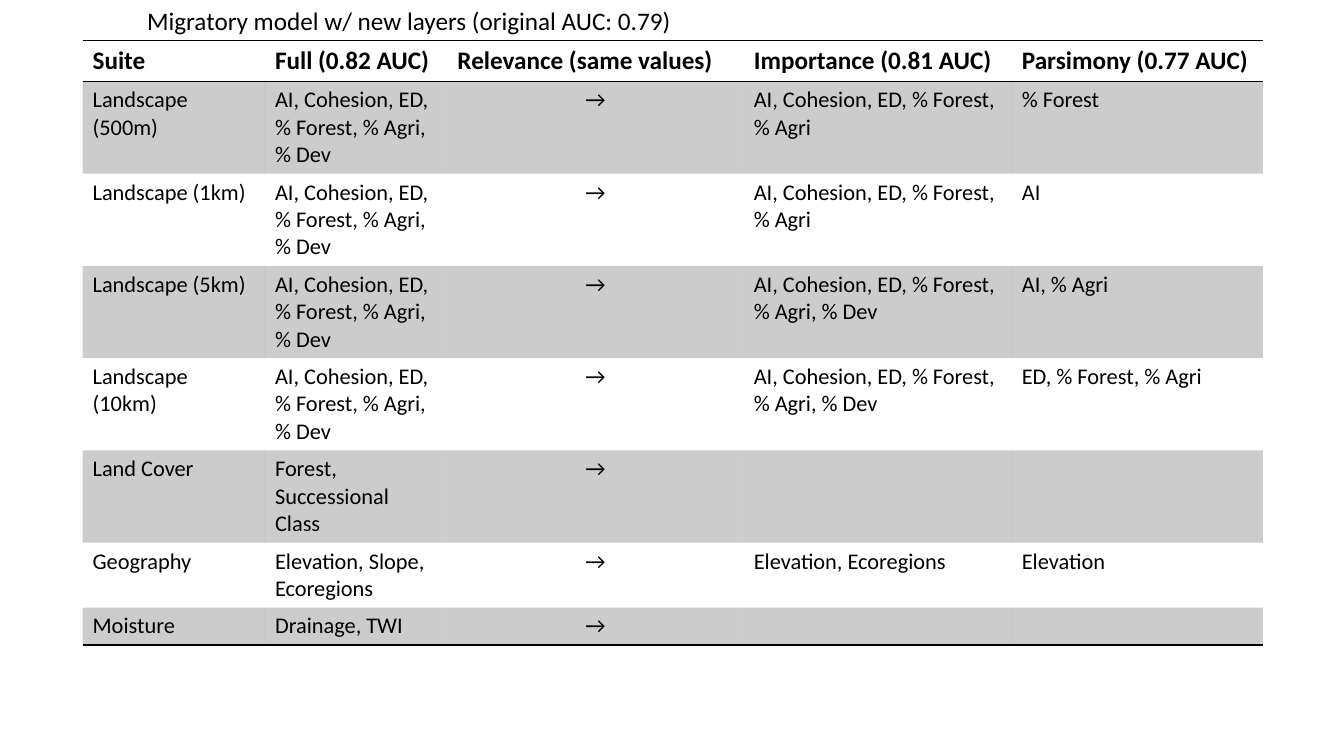
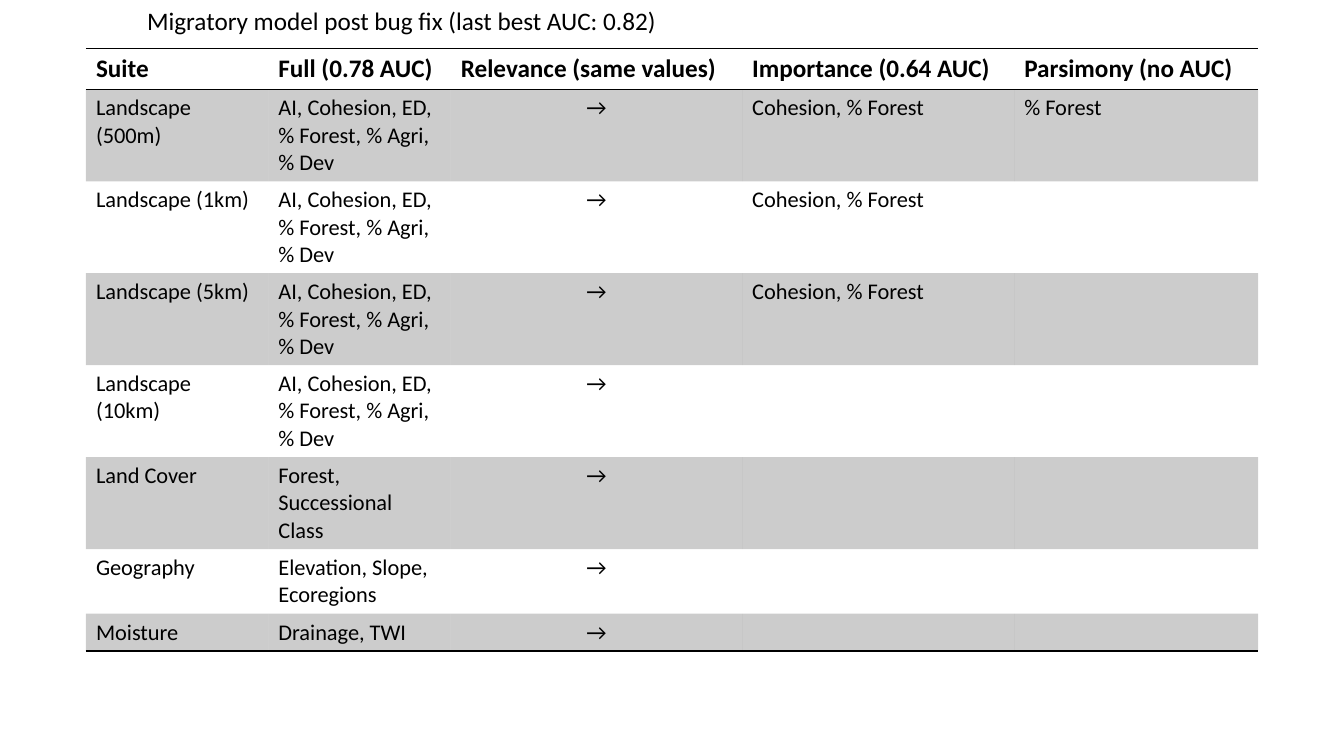
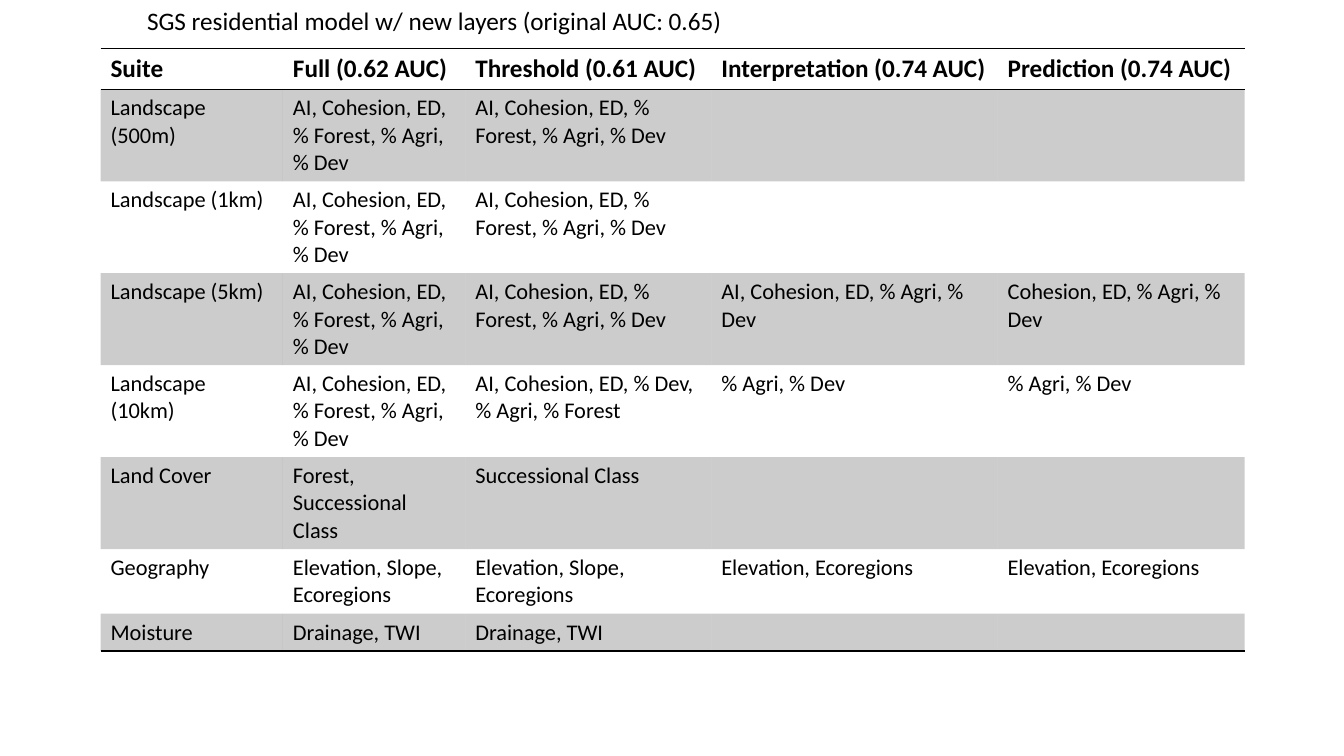
from lxml.etree import SubElement
from pptx import Presentation
from pptx.dml.color import RGBColor
from pptx.enum.text import MSO_AUTO_SIZE, PP_ALIGN
from pptx.oxml.ns import qn
from pptx.util import Pt

# Shared look
BLACK = RGBColor(0x00, 0x00, 0x00)
FONT = "Calibri"
HEAD_SIZE, BODY_SIZE = 18, 16
HEAD_HEIGHT, LINE_HEIGHT, CELL_PADDING = 29.2, 19.5, 7.2
BAND_OPACITY = 20
RULE_WIDTH = 1
SUITE_WIDTH = 130.3
PLAIN_TABLE_STYLE = "{2D5ABB26-0587-4C30-8999-92F81FD0307C}"

# Shared wording: suite, variables of the full model, lines of text in the row
METRICS = "AI, Cohesion, ED, % Forest, % Agri, % Dev"
NO_DEV = "AI, Cohesion, ED, % Forest, % Agri"
TERRAIN = "Elevation, Slope, Ecoregions"
COHESION_FOREST = "Cohesion, % Forest"
ARROW = "→"
SUITES = [
    ("Landscape (500m)", METRICS, 3),
    ("Landscape (1km)", METRICS, 3),
    ("Landscape (5km)", METRICS, 3),
    ("Landscape (10km)", METRICS, 3),
    ("Land Cover", "Forest, Successional Class", 3),
    ("Geography", TERRAIN, 2),
    ("Moisture", "Drainage, TWI", 1),
]

# One entry per slide; each column holds one text per suite
MODELS = [
    {
        "title": "Migratory model w/ new layers (original AUC: 0.79)",
        "left": 59, "top": 28.9, "widths": [211.7, 191.5, 179.3],
        "heads": ["Full (0.82 AUC)", "Relevance (same values)",
                  "Importance (0.81 AUC)", "Parsimony (0.77 AUC)"],
        "columns": [
            [ARROW] * 7,
            [NO_DEV, NO_DEV, METRICS, METRICS, "", "Elevation, Ecoregions", ""],
            ["% Forest", "AI", "AI, % Agri", "ED, % Forest, % Agri", "",
             "Elevation", ""],
        ],
    },
    {
        "title": "Migratory model post bug fix (last best AUC: 0.82)",
        "left": 61.4, "top": 34.6, "widths": [208.1, 194.4, 174.2],
        "heads": ["Full (0.78 AUC)", "Relevance (same values)",
                  "Importance (0.64 AUC)", "Parsimony (no AUC)"],
        "columns": [
            [ARROW] * 7,
            [COHESION_FOREST] * 3 + [""] * 4,
            ["% Forest"] + [""] * 6,
        ],
    },
    {
        "title": "SGS residential model w/ new layers (original AUC: 0.65)",
        "left": 71.8, "top": 34.6, "widths": [175.7, 204.5, 176.4],
        "heads": ["Full (0.62 AUC)", "Threshold (0.61 AUC)",
                  "Interpretation (0.74 AUC)", "Prediction (0.74 AUC)"],
        "columns": [
            [METRICS] * 3 + ["AI, Cohesion, ED, % Dev, % Agri, % Forest",
                             "Successional Class", TERRAIN, "Drainage, TWI"],
            ["", "", "AI, Cohesion, ED, % Agri, % Dev", "% Agri, % Dev", "",
             "Elevation, Ecoregions", ""],
            ["", "", "Cohesion, ED, % Agri, % Dev", "% Agri, % Dev", "",
             "Elevation, Ecoregions", ""],
        ],
    },
]


def write(frame, text, size=BODY_SIZE, bold=False, align=PP_ALIGN.LEFT):
    """Put formatted text in a frame; an empty text still sets the line size."""
    para = frame.paragraphs[0]
    para.alignment = align
    if not text:
        SubElement(para._p, qn("a:endParaRPr"), sz=str(size * 100))
        return
    span = para.add_run()
    span.text = text
    span.font.name = FONT
    span.font.size = Pt(size)
    span.font.bold = bold
    span.font.color.rgb = BLACK


def add_rule(cell, side):
    """Draw a cell border; call for lnT before lnB, and before any fill."""
    line = SubElement(cell._tc.get_or_add_tcPr(), qn(f"a:{side}"),
                      w=str(Pt(RULE_WIDTH)))
    fill = SubElement(line, qn("a:solidFill"))
    SubElement(fill, qn("a:srgbClr"), val=str(BLACK))


def shade(cell):
    cell.fill.solid()
    cell.fill.fore_color.rgb = BLACK
    color = cell._tc.tcPr.find(qn("a:solidFill")).find(qn("a:srgbClr"))
    SubElement(color, qn("a:alpha"), val=str(BAND_OPACITY * 1000))


def add_title(page, text):
    box = page.shapes.add_textbox(Pt(98), Pt(0), Pt(484.6), Pt(29))
    box.text_frame.word_wrap = True
    box.text_frame.auto_size = MSO_AUTO_SIZE.SHAPE_TO_FIT_TEXT
    write(box.text_frame, text, size=HEAD_SIZE)


def add_model_table(page, model):
    widths = [SUITE_WIDTH, SUITE_WIDTH] + model["widths"]
    heights = [HEAD_HEIGHT] + [lines * LINE_HEIGHT + CELL_PADDING
                               for _, _, lines in SUITES]
    suites, full_model, _ = zip(*SUITES)
    rows = [["Suite"] + model["heads"]]
    rows += zip(suites, full_model, *model["columns"])

    table = page.shapes.add_table(
        len(heights), len(widths), Pt(model["left"]), Pt(model["top"]),
        Pt(sum(widths)), Pt(sum(heights))).table
    table.first_row = table.horz_banding = False
    table._tbl.tblPr.find(qn("a:tableStyleId")).text = PLAIN_TABLE_STYLE
    for column, width in zip(table.columns, widths):
        column.width = Pt(width)
    for row, height in zip(table.rows, heights):
        row.height = Pt(height)

    # Rules above and below the header and under the last row; odd rows shaded
    for r, texts in enumerate(rows):
        is_head = r == 0
        for c, text in enumerate(texts):
            cell = table.cell(r, c)
            write(cell.text_frame, text, bold=is_head,
                  size=HEAD_SIZE if is_head else BODY_SIZE,
                  align=PP_ALIGN.CENTER if text == ARROW else PP_ALIGN.LEFT)
            if is_head:
                add_rule(cell, "lnT")
            if is_head or r == len(rows) - 1:
                add_rule(cell, "lnB")
            if r % 2:
                shade(cell)
            else:
                cell.fill.background()


def main():
    deck = Presentation()
    deck.slide_width, deck.slide_height = Pt(960), Pt(540)
    for model in MODELS:
        page = deck.slides.add_slide(deck.slide_layouts[6])
        add_model_table(page, model)
        add_title(page, model["title"])
    deck.save("out.pptx")


main()
